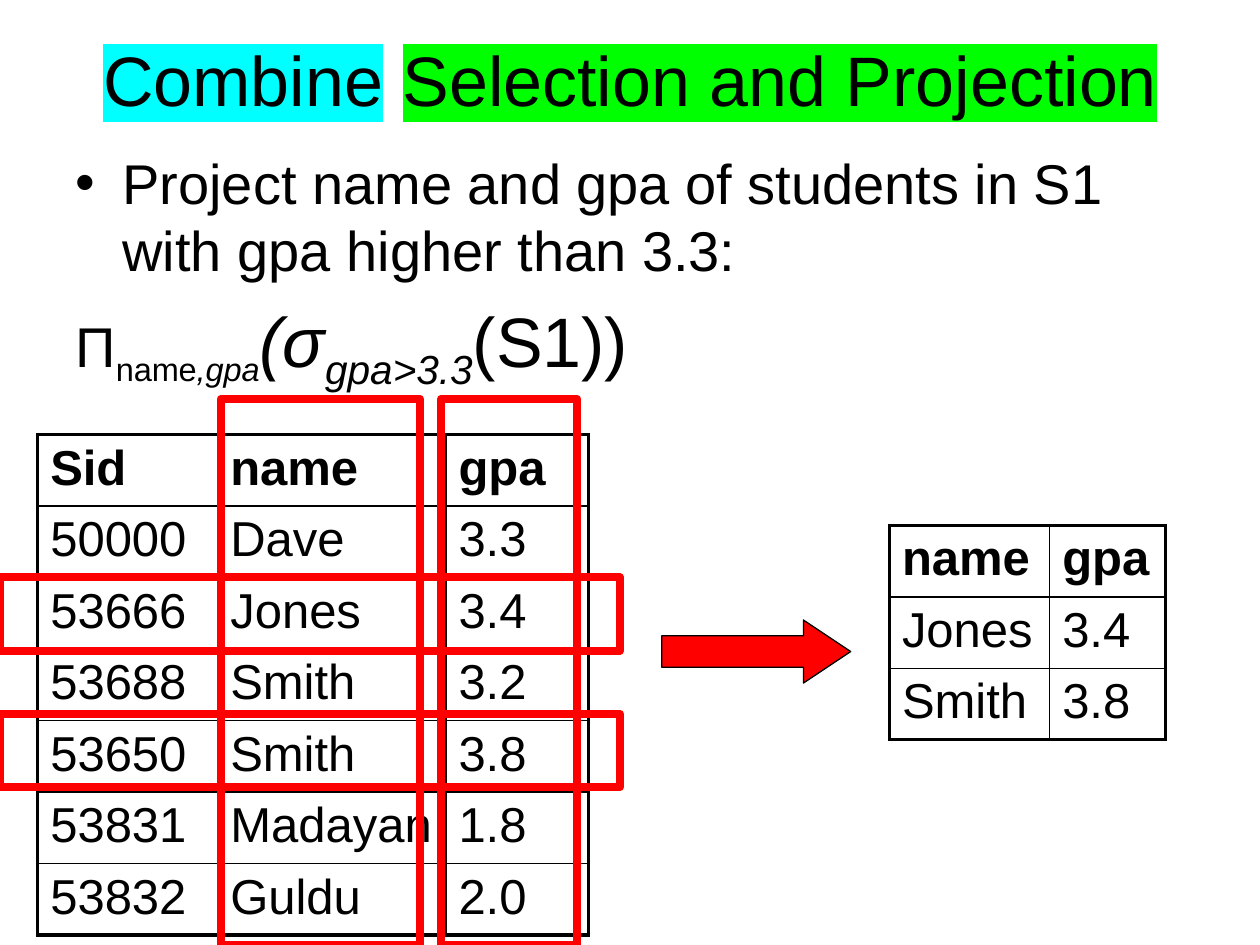
from dataclasses import dataclass

from lxml import etree
from pptx import Presentation
from pptx.dml.color import RGBColor
from pptx.enum.shapes import MSO_SHAPE
from pptx.enum.text import MSO_ANCHOR, PP_ALIGN
from pptx.oxml.ns import qn
from pptx.util import Cm, Pt

RECT, ARROW = MSO_SHAPE.RECTANGLE, MSO_SHAPE.RIGHT_ARROW
MIDDLE, TOP, CENTER = MSO_ANCHOR.MIDDLE, MSO_ANCHOR.TOP, PP_ALIGN.CENTER
FONT = "Arial"
COLORS = {"text": "000000", "mark": "FF0000", "cyan": "00FFFF", "green": "00FF00"}
OUTER, INNER = 2.25, 1
ROW_HEIGHT = 1.44
HANGING = 0.95


@dataclass
class Run:
    text: str
    size: float
    bold: bool = False
    italic: bool = False
    subscript: bool = False
    highlight: str = ""


@dataclass
class Relation:
    left: float
    top: float
    widths: list[float]
    rows: list[tuple[str, ...]]


@dataclass
class Mark:
    left: float
    top: float
    width: float
    height: float


TITLE = [
    Run("Combine", 40, highlight="cyan"),
    Run(" ", 40),
    Run("Selection and Projection", 40, highlight="green"),
]
TASK = [Run("Project name and gpa of students in S1 with gpa higher than 3.3:", 32)]
FORMULA = [
    Run("Π", 32),
    Run("name", 32, subscript=True),
    Run(",gpa", 32, italic=True, subscript=True),
    Run("(σ", 40, italic=True),
    Run("gpa>3.3", 40, italic=True, subscript=True),
    Run("(S1))", 40),
]
STUDENTS = Relation(0.76, 8.76, [3.63, 4.6, 2.87], [
    ("Sid", "name", "gpa"),
    ("50000", "Dave", "3.3"),
    ("53666", "Jones", "3.4"),
    ("53688", "Smith", "3.2"),
    ("53650", "Smith", "3.8"),
    ("53831", "Madayan", "1.8"),
    ("53832", "Guldu", "2.0"),
])
RESULT = Relation(17.93, 10.59, [3.23, 2.34], [
    ("name", "gpa"),
    ("Jones", "3.4"),
    ("Smith", "3.8"),
])
SELECTED_ROWS = [Mark(0, top, 12.5, 1.48) for top in (11.64, 14.39)]
PROJECTED_COLUMNS = [
    Mark(left, 8.04, width, 11.01) for left, width in ((4.45, 4.02), (8.89, 2.75))
]


def color(name: str) -> RGBColor:
    return RGBColor.from_string(COLORS[name])


def add_runs(p, runs: list[Run]) -> None:
    for run in runs:
        r = p.add_run()
        r.text = run.text
        values = {"name": FONT, "size": Pt(run.size), "bold": run.bold, "italic": run.italic}
        for name, value in values.items():
            setattr(r.font, name, value)
        r.font.color.rgb = color("text")
        props = r.font._element
        if run.subscript:
            props.set("baseline", "-25000")
        if run.highlight:
            highlight = etree.Element(qn("a:highlight"))
            etree.SubElement(highlight, qn("a:srgbClr"), val=COLORS[run.highlight])
            props.find(qn("a:solidFill")).addnext(highlight)


def add_text_frame(s, left: float, top: float, width: float, height: float, anchor):
    tf = s.shapes.add_textbox(Cm(left), Cm(top), Cm(width), Cm(height)).text_frame
    tf.word_wrap = True
    tf.vertical_anchor = anchor
    return tf


def hang(p, bullet: str = "") -> None:
    """Give a paragraph a hanging indent, with a bullet if one is named."""
    props = p._p.get_or_add_pPr()
    props.set("marL", str(Cm(HANGING)))
    props.set("indent", str(-Cm(HANGING)))
    if bullet:
        etree.SubElement(props, qn("a:buFont"), typeface=FONT)
        etree.SubElement(props, qn("a:buChar"), char=bullet)
    else:
        etree.SubElement(props, qn("a:buNone"))


def set_borders(cell, widths: dict[str, float]) -> None:
    props = cell._tc.get_or_add_tcPr()
    for side, width in widths.items():
        line = etree.SubElement(props, qn(f"a:ln{side}"), w=str(Pt(width)))
        fill = etree.SubElement(line, qn("a:solidFill"))
        etree.SubElement(fill, qn("a:srgbClr"), val=COLORS["text"])


def add_relation(s, relation: Relation) -> None:
    last_row, last_col = len(relation.rows) - 1, len(relation.widths) - 1
    table = s.shapes.add_table(
        last_row + 1, last_col + 1, Cm(relation.left), Cm(relation.top),
        Cm(sum(relation.widths)), Cm(ROW_HEIGHT * (last_row + 1)),
    ).table
    table.first_row = table.horz_banding = False
    for column, width in zip(table.columns, relation.widths):
        column.width = Cm(width)
    for i, values in enumerate(relation.rows):
        table.rows[i].height = Cm(ROW_HEIGHT)
        for j, value in enumerate(values):
            cell = table.cell(i, j)
            add_runs(cell.text_frame.paragraphs[0], [Run(value, 28, bold=i == 0)])
            on_edge = {"L": j == 0, "R": j == last_col, "T": i == 0, "B": i == last_row}
            set_borders(cell, {k: OUTER if v else INNER for k, v in on_edge.items()})
            cell.fill.background()


def add_marks(s, marks: list[Mark]) -> None:
    group = s.shapes.add_group_shape()
    for mark in marks:
        shape = group.shapes.add_shape(
            RECT, Cm(mark.left), Cm(mark.top), Cm(mark.width), Cm(mark.height))
        shape.shadow.inherit = False
        shape.fill.background()
        shape.line.color.rgb = color("mark")
        shape.line.width = Pt(4.5)


def add_result_arrow(s) -> None:
    arrow = s.shapes.add_shape(ARROW, Cm(13.34), Cm(12.5), Cm(3.81), Cm(1.27))
    arrow.adjustments[0], arrow.adjustments[1] = 0.5, 0.75
    arrow.shadow.inherit = False
    arrow.fill.solid()
    arrow.fill.fore_color.rgb = color("mark")
    arrow.line.color.rgb = color("text")
    arrow.line.width = Pt(0.75)


def main() -> None:
    prs = Presentation()
    prs.slide_width, prs.slide_height = Cm(25.4), Cm(19.05)
    s = prs.slides.add_slide(prs.slide_layouts[6])

    p = add_text_frame(s, 1.27, 0, 22.86, 3.18, MIDDLE).paragraphs[0]
    p.alignment = CENTER
    add_runs(p, TITLE)

    tf = add_text_frame(s, 1.27, 2.75, 22.86, 6.55, TOP)
    tf.margin_top = Cm(0.25)
    p = tf.paragraphs[0]
    hang(p, "•")
    add_runs(p, TASK)
    p = tf.add_paragraph()
    hang(p)
    p.space_before = Pt(8)
    add_runs(p, FORMULA)

    for relation in (STUDENTS, RESULT):
        add_relation(s, relation)
    for marks in (SELECTED_ROWS, PROJECTED_COLUMNS):
        add_marks(s, marks)
    add_result_arrow(s)
    prs.save("out.pptx")


if __name__ == "__main__":
    main()
